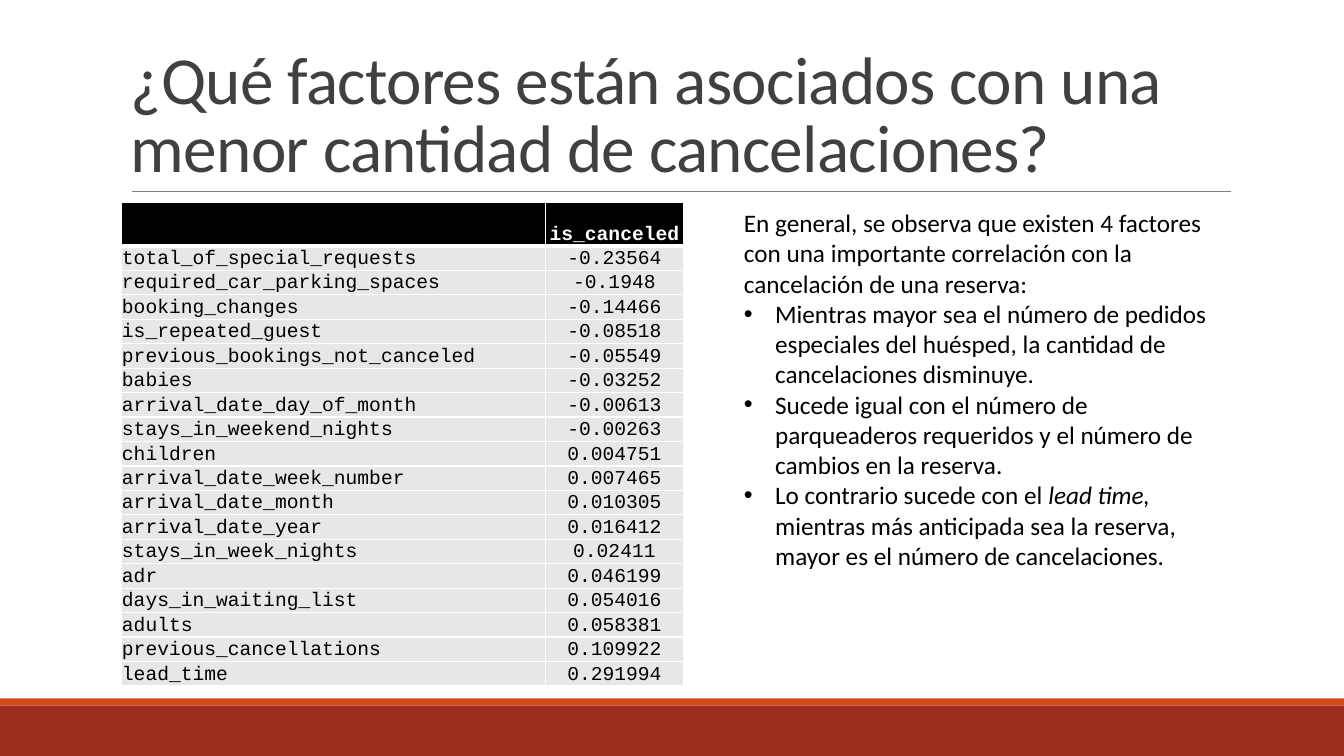
from dataclasses import dataclass

from lxml import etree
from pptx import Presentation
from pptx import util as u
from pptx.dml.color import RGBColor
from pptx.enum import shapes, text
from pptx.oxml import ns


@dataclass(frozen=True)
class Theme:
    band: str = "9B2D1F"
    strip: str = "D34817"
    rule: str = "808080"
    title: str = "404040"
    ink: str = "000000"
    paper: str = "FFFFFF"
    cell: str = "E7E7E7"
    sans: str = "Calibri"
    mono: str = "Courier New"
    big: int = 48
    body: int = 18
    small: int = 14


FACTORS = [
    ("total_of_special_requests", "-0.23564"),
    ("required_car_parking_spaces", "-0.1948"),
    ("booking_changes", "-0.14466"),
    ("is_repeated_guest", "-0.08518"),
    ("previous_bookings_not_canceled", "-0.05549"),
    ("babies", "-0.03252"),
    ("arrival_date_day_of_month", "-0.00613"),
    ("stays_in_weekend_nights", "-0.00263"),
    ("children", "0.004751"),
    ("arrival_date_week_number", "0.007465"),
    ("arrival_date_month", "0.010305"),
    ("arrival_date_year", "0.016412"),
    ("stays_in_week_nights", "0.02411"),
    ("adr", "0.046199"),
    ("days_in_waiting_list", "0.054016"),
    ("adults", "0.058381"),
    ("previous_cancellations", "0.109922"),
    ("lead_time", "0.291994"),
]
TITLE = "¿Qué factores están asociados con una menor cantidad de cancelaciones?"
INTRO = ("En general, se observa que existen 4 factores con una importante "
         "correlación con la cancelación de una reserva:")
POINTS = [
    ["Mientras mayor sea el número de pedidos especiales del huésped, "
     "la cantidad de cancelaciones disminuye."],
    ["Sucede igual con el número de parqueaderos requeridos y el número de "
     "cambios en la reserva."],
    ["Lo contrario sucede con el ", "lead time, ",
     "mientras más anticipada sea la reserva, mayor es el número de cancelaciones."],
]


def color(code):
    return RGBColor.from_string(code)


def add(node, tag, **attrs):
    return etree.SubElement(node, ns.qn(tag), attrs)


def write(para, *parts, font, size, ink, bold=False, align=None, lead=None,
          track=None, bullet=None):
    para.alignment = align
    para.line_spacing = lead
    if bullet:
        props = para._p.get_or_add_pPr()
        dent = u.Inches(0.31)
        props.set("marL", str(dent))
        props.set("indent", str(-dent))
        add(props, "a:buFont", typeface="Arial")
        add(props, "a:buChar", char=bullet)
    for spot, part in enumerate(parts):
        run = para.add_run()
        run.text = part
        run.font.name = font
        run.font.size = u.Pt(size)
        run.font.bold = bold
        run.font.italic = spot % 2 == 1
        run.font.color.rgb = color(ink)
        if track:
            run._r.get_or_add_rPr().set("spc", str(round(track * 100)))


class Page:
    step = 0.1

    def __init__(self, deck, theme):
        self.theme = theme
        self.slide = deck.slides.add_slide(deck.slide_layouts[6])
        self.items = self.slide.shapes

    def grid(self, *cells):
        return [u.Inches(cell * self.step) for cell in cells]

    def bar(self, box, fill):
        bar = self.items.add_shape(shapes.MSO_SHAPE.RECTANGLE, *self.grid(*box))
        bar.shadow.inherit = False
        bar.fill.solid()
        bar.fill.fore_color.rgb = color(fill)
        bar.line.fill.background()

    def rule(self, ends):
        rule = self.items.add_connector(shapes.MSO_CONNECTOR.STRAIGHT, *self.grid(*ends))
        rule.line.color.rgb = color(self.theme.rule)
        rule.line.width = u.Pt(0.5)
        add(rule._element.spPr, "a:effectLst")

    def frame(self, box, anchor=text.MSO_ANCHOR.TOP, fit=text.MSO_AUTO_SIZE.NONE):
        frame = self.items.add_textbox(*self.grid(*box)).text_frame
        frame.word_wrap = True
        frame.vertical_anchor = anchor
        frame.auto_size = fit
        return frame

    def cell(self, cell, word, fill, foot, **style):
        props = cell._tc.get_or_add_tcPr()
        for side, width in zip("LRTB", (1, 1, 1, foot)):
            edge = add(props, f"a:ln{side}", w=str(u.Pt(width)))
            add(add(edge, "a:solidFill"), "a:srgbClr", val=self.theme.paper)
        cell.fill.solid()
        cell.fill.fore_color.rgb = color(fill)
        if word:
            cell.margin_left = cell.margin_right = cell.margin_top = u.Inches(0.01)
            cell.margin_bottom = 0
            cell.vertical_anchor = text.MSO_ANCHOR.BOTTOM
            write(cell.text_frame.paragraphs[0], word, font=self.theme.mono,
                  size=self.theme.small, **style)

    def table(self, box, cols, head, rows):
        look = self.theme
        table = self.items.add_table(len(rows) + 1, len(cols), *self.grid(*box)).table
        table.horz_banding = False
        top = 4.3
        highs = [top] + [(box[3] - top) / len(rows)] * len(rows)
        for col, wide in zip(table.columns, self.grid(*cols)):
            col.width = wide
        for row, high in zip(table.rows, self.grid(*highs)):
            row.height = high
        for r, words in enumerate([head] + rows):
            first = r == 0
            for c, word in enumerate(words):
                self.cell(table.cell(r, c), word,
                          fill=look.ink if first else look.cell,
                          foot=3 if first else 1,
                          ink=look.paper if first else look.ink, bold=first,
                          align=text.PP_ALIGN.CENTER if c else text.PP_ALIGN.LEFT)


def main():
    deck = Presentation()
    deck.slide_width, deck.slide_height = u.Inches(13.33), u.Inches(7.5)
    look = Theme()
    page = Page(deck, look)
    page.bar((0, 70, 133.3, 5), look.band)
    page.bar((0, 69.3, 133.3, 0.7), look.strip)
    page.rule((13.1, 19, 122.1, 19))
    title = page.frame((12, 3.1, 110, 15.9), anchor=text.MSO_ANCHOR.BOTTOM)
    write(title.paragraphs[0], TITLE, font=look.sans, size=look.big,
          ink=look.title, lead=0.85, track=-0.5)
    page.table((12, 20.1, 55.8, 48), (42.1, 13.7), ("", "is_canceled"), FACTORS)
    notes = page.frame((72.8, 20.1, 49.2, 40.4), fit=text.MSO_AUTO_SIZE.SHAPE_TO_FIT_TEXT)
    style = dict(font=look.sans, size=look.body, ink=look.ink)
    write(notes.paragraphs[0], INTRO, **style)
    for point in POINTS:
        write(notes.add_paragraph(), *point, bullet="•", **style)
    deck.save("out.pptx")


if __name__ == "__main__":
    main()
